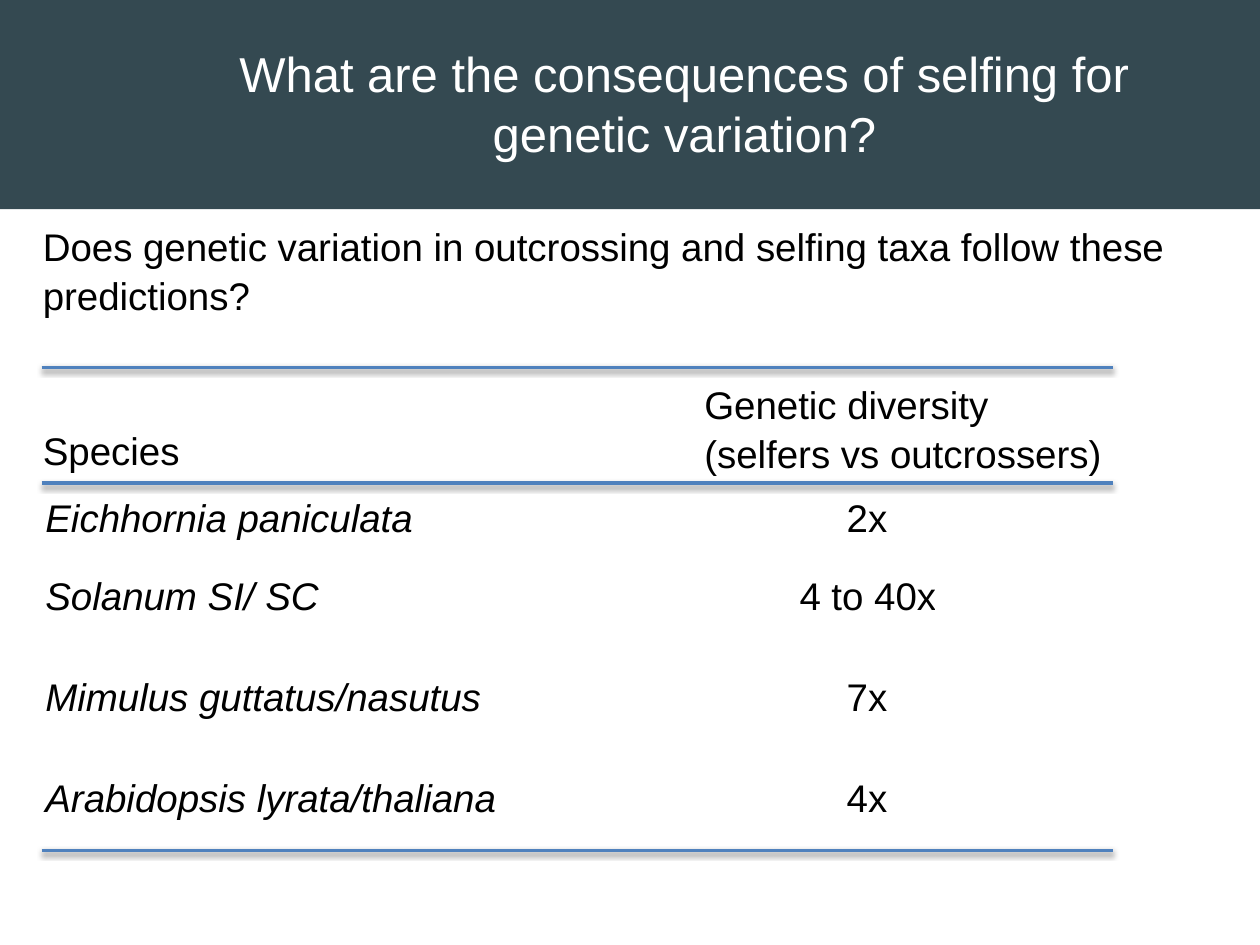
import pptx
import pptx.util
import pptx.dml.color
import pptx.enum.shapes
import pptx.enum.text
import pptx.oxml
import pptx.oxml.ns

THEME = {
    "font": "Arial", "title_size": 28, "body_size": 22, "rule_width": 2,
    "band": "344951", "title": "FFFFFF", "text": "000000", "rule": "4F81BD",
}

deck = pptx.Presentation()
deck.slide_width = pptx.util.Inches(10)
deck.slide_height = pptx.util.Inches(7.5)
slide = deck.slides.add_slide(deck.slide_layouts[6])

# Grid: 100 columns by 75 rows
COL = deck.slide_width / 100
ROW = deck.slide_height / 75
LEFT, RIGHT = 3.3, 88.3


def write(frame, lines, size, color, italic=False, spacing=1.0, margin=0, indent=0):
    for number, line in enumerate(lines):
        paragraph = frame.paragraphs[0] if number == 0 else frame.add_paragraph()
        paragraph.line_spacing = spacing
        properties = paragraph._p.get_or_add_pPr()
        properties.set("marL", str(round(margin * COL)))
        properties.set("indent", str(round(indent * COL)))
        run = paragraph.add_run()
        run.text = line
        look = {"name": THEME["font"], "size": pptx.util.Pt(size), "italic": italic}
        for key, value in look.items():
            setattr(run.font, key, value)
        run.font.color.rgb = pptx.dml.color.RGBColor.from_string(color)


def add_text(left, top, width, height, lines, size, color, inset=0, **layout):
    box = slide.shapes.add_textbox(*(round(v) for v in (
        left * COL, top * ROW, width * COL, height * ROW)))
    frame_format = {"word_wrap": True, "margin_left": 0, "margin_right": 0,
                    "margin_top": round(inset * ROW), "margin_bottom": 0}
    for key, value in frame_format.items():
        setattr(box.text_frame, key, value)
    write(box.text_frame, lines, size, color, **layout)


# Title band
band = slide.shapes.add_shape(pptx.enum.shapes.MSO_SHAPE.RECTANGLE,
                              0, 0, deck.slide_width, round(16.6 * ROW))
band.shadow.inherit = False
band.fill.solid()
band.fill.fore_color.rgb = pptx.dml.color.RGBColor.from_string(THEME["band"])
band.line.fill.background()

# Title, with its second line set further in
add_text(8.3, 2.5, 89.2, 10.2,
         ["What are the consequences of selfing for genetic variation?"],
         THEME["title_size"], THEME["title"], inset=0.8,
         spacing=1.03, margin=30.8, indent=-20.1)

# Question and column headings
headings = [
    (LEFT, 17.5, 89.5, 7.4, ["Does genetic variation in outcrossing and selfing "
                             "taxa follow these predictions?"]),
    (LEFT, 33.7, 11.1, 3.8, ["Species"]),
    (55.8, 30, 32.5, 7.4, ["Genetic diversity", "(selfers vs outcrossers)"]),
]
for left, top, width, height, lines in headings:
    add_text(left, top, width, height, lines, THEME["body_size"], THEME["text"],
             spacing=1.06, margin=0.1)

# Species table
diversity = [
    ("Eichhornia paniculata", "2x"),
    ("Solanum SI/ SC", "4 to 40x"),
    ("Mimulus guttatus/nasutus", "7x"),
    ("Arabidopsis lyrata/thaliana", "4x"),
]
column_widths = [50.1, 21, 15]
row_heights = [6.2, 8, 8, 6.2]
table = slide.shapes.add_table(
    len(row_heights), len(column_widths), round(3.2 * COL), round(39.5 * ROW),
    round(sum(column_widths) * COL), round(sum(row_heights) * ROW)).table
table.first_row = table.horz_banding = False
for column, width in zip(table.columns, column_widths):
    column.width = round(width * COL)
for row, height in zip(table.rows, row_heights):
    row.height = round(height * ROW)
for cell in table.iter_cells():
    cell.fill.background()
    for side in ("left", "right", "top", "bottom"):
        setattr(cell, "margin_" + side, 0)
for number, (species, ratio) in enumerate(diversity):
    species_cell, ratio_cell = table.cell(number, 0), table.cell(number, 1)
    write(species_cell.text_frame, [species], THEME["body_size"], THEME["text"],
          italic=True, margin=0.4)
    is_range = " to " in ratio
    write(ratio_cell.text_frame, [ratio], THEME["body_size"], THEME["text"],
          margin=0 if is_range else 13.9)
    if is_range:
        ratio_cell.text_frame.paragraphs[0].alignment = pptx.enum.text.PP_ALIGN.RIGHT

# Rules above and below the headings and under the table, with a soft shadow
SHADOW = (
    f'<a:effectLst {pptx.oxml.ns.nsdecls("a")}>'
    '<a:outerShdw blurRad="40000" dist="20000" dir="5400000" rotWithShape="0">'
    '<a:srgbClr val="000000"><a:alpha val="38000"/></a:srgbClr>'
    '</a:outerShdw></a:effectLst>')
for height in (29.15, 38.35, 67.5):
    rule = slide.shapes.add_connector(
        pptx.enum.shapes.MSO_CONNECTOR.STRAIGHT,
        round(LEFT * COL), round(height * ROW), round(RIGHT * COL), round(height * ROW))
    rule.line.width = pptx.util.Pt(THEME["rule_width"])
    rule.line.color.rgb = pptx.dml.color.RGBColor.from_string(THEME["rule"])
    rule._element.spPr.append(pptx.oxml.parse_xml(SHADOW))

deck.save("out.pptx")
